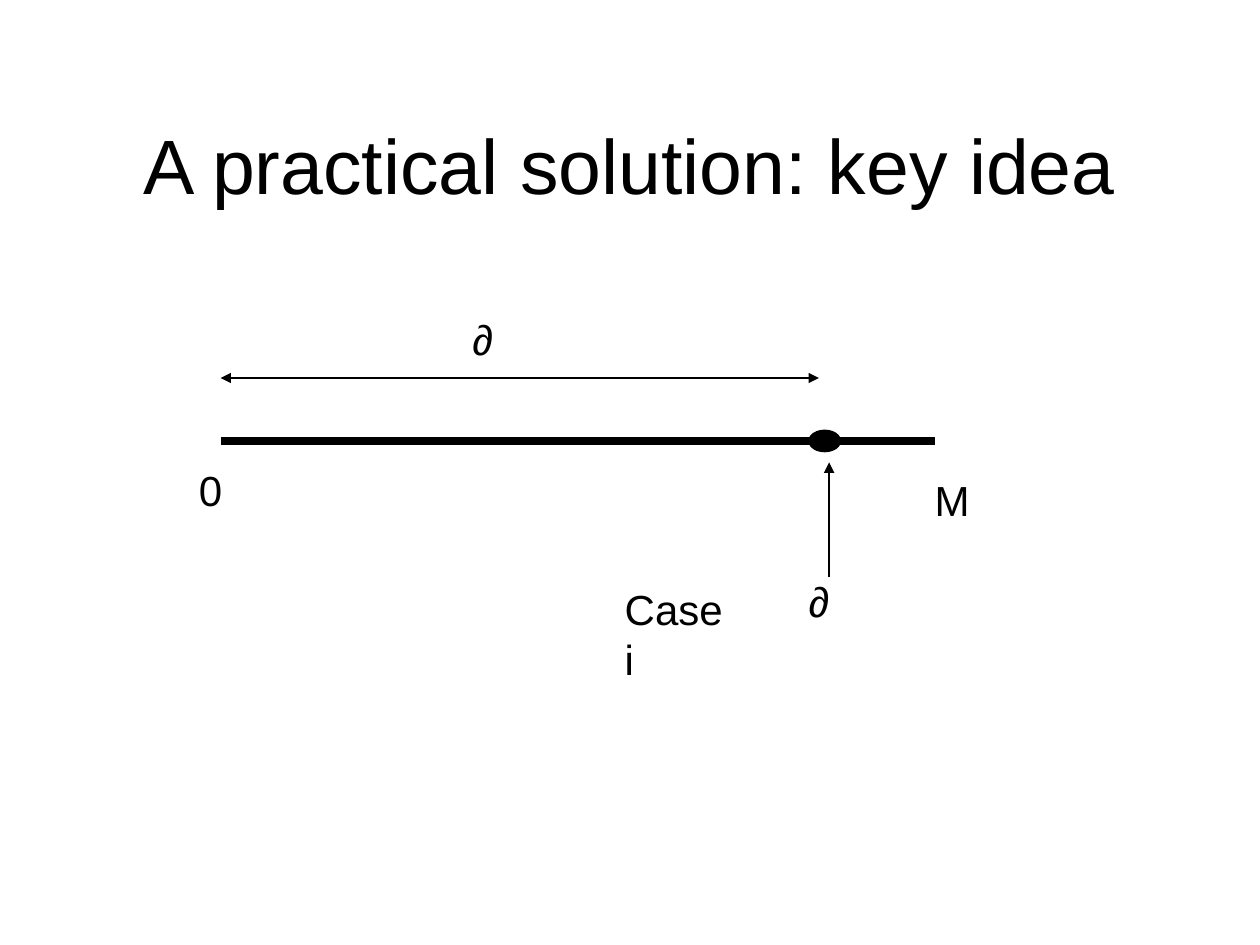
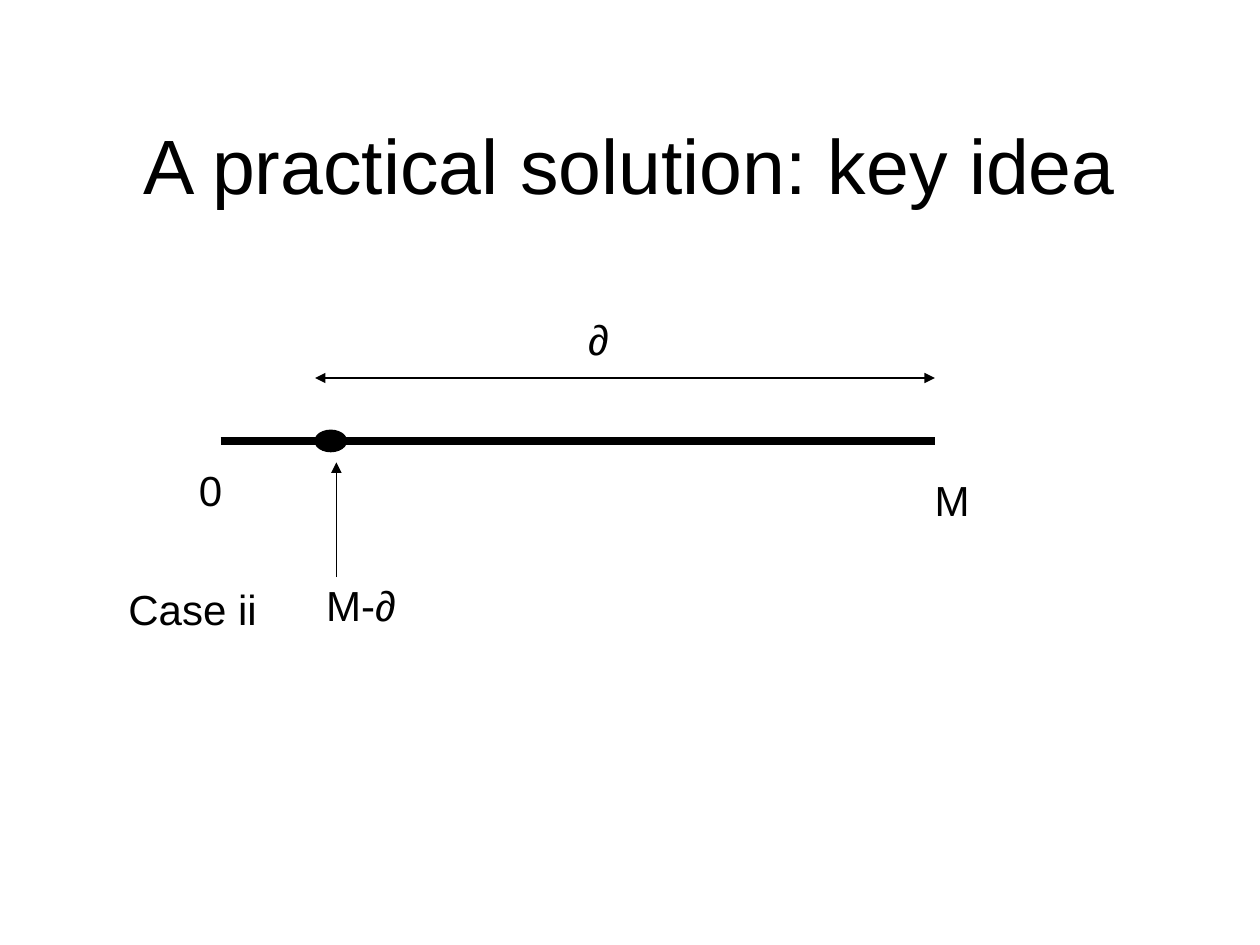
from dataclasses import dataclass

from lxml import etree
from pptx import Presentation
from pptx import util as u
from pptx.dml.color import RGBColor
from pptx.enum import shapes, text
from pptx.oxml import ns
from pptx.slide import Slide

COLOURS = {"ink": "000000", "paper": "FFFFFF"}
FONT = "Arial"
TITLE = "A practical solution: key idea"
AXIS_START, AXIS_END, AXIS_Y = 1.75, 7.42, 3.5
SPAN_Y = 3.0
POINTER_TOP, POINTER_BOTTOM = 3.67, 4.58
DOT_WIDTH, DOT_HEIGHT = 0.25, 0.17
LABEL_HEIGHT = 0.5


@dataclass(frozen=True)
class Label:
    words: str
    left: float
    top: float
    width: float


@dataclass(frozen=True)
class Line:
    start: tuple[float, float]
    end: tuple[float, float]
    weight: float = 0.75
    arrows: tuple[str, ...] = ()


@dataclass(frozen=True)
class Case:
    dot_left: float
    pointer_x: float
    span_start: float
    span_end: float
    labels: tuple[Label, ...]


AXIS_LABELS = (Label("0", 1.48, 3.64, 0.38), Label("M", 7.32, 3.72, 0.48))

CASES = (
    Case(6.42, 6.58, AXIS_START, 6.5, (
        Label("Case i", 4.86, 4.58, 1.14),
        Label("∂", 6.32, 4.52, 0.36),
        Label("∂", 3.65, 2.44, 0.36),
    )),
    Case(2.5, 2.67, 2.5, AXIS_END, (
        Label("Case ii", 0.92, 4.58, 1.22),
        Label("M-∂", 2.49, 4.55, 0.75),
        Label("∂", 4.57, 2.44, 0.36),
    )),
)


def colour(name: str) -> RGBColor:
    return RGBColor.from_string(COLOURS[name])


def add_text(page: Slide, label: Label, height: float = LABEL_HEIGHT,
             size: int = 24, is_title: bool = False) -> None:
    box = page.shapes.add_textbox(
        u.Inches(label.left), u.Inches(label.top),
        u.Inches(label.width), u.Inches(height))
    frame = box.text_frame
    frame.word_wrap = is_title
    para = frame.paragraphs[0]
    para.text = label.words
    para.font.name = FONT
    para.font.size = u.Pt(size)
    para.font.color.rgb = colour("ink")
    if is_title:
        frame.vertical_anchor = text.MSO_ANCHOR.MIDDLE
        para.alignment = text.PP_ALIGN.CENTER
    else:
        frame.auto_size = text.MSO_AUTO_SIZE.SHAPE_TO_FIT_TEXT


def add_line(page: Slide, line: Line) -> None:
    connector = page.shapes.add_connector(
        shapes.MSO_CONNECTOR.STRAIGHT,
        *(u.Inches(value) for value in line.start + line.end))
    connector.line.color.rgb = colour("ink")
    connector.line.width = u.Pt(line.weight)
    outline = connector.line._get_or_add_ln()
    for arrow in line.arrows:
        etree.SubElement(outline, ns.qn(f"a:{arrow}"), type="triangle")
    etree.SubElement(connector._element.spPr, ns.qn("a:effectLst"))


def add_dot(page: Slide, left: float) -> None:
    dot = page.shapes.add_shape(
        shapes.MSO_SHAPE.OVAL, u.Inches(left),
        u.Inches(AXIS_Y - DOT_HEIGHT / 2),
        u.Inches(DOT_WIDTH), u.Inches(DOT_HEIGHT))
    dot.shadow.inherit = False
    dot.fill.solid()
    dot.fill.fore_color.rgb = colour("ink")
    dot.line.color.rgb = colour("ink")
    dot.line.width = u.Pt(0.75)


def add_case(page: Slide, case: Case) -> None:
    page.background.fill.solid()
    page.background.fill.fore_color.rgb = colour("paper")
    add_text(page, Label(TITLE, 0.75, 0.67, 8.5), 1.25, 44, is_title=True)
    add_line(page, Line((AXIS_START, AXIS_Y), (AXIS_END, AXIS_Y), 4.5))
    add_dot(page, case.dot_left)
    add_line(page, Line((case.pointer_x, POINTER_BOTTOM),
                        (case.pointer_x, POINTER_TOP), arrows=("tailEnd",)))
    add_line(page, Line((case.span_start, SPAN_Y), (case.span_end, SPAN_Y),
                        arrows=("headEnd", "tailEnd")))
    for label in AXIS_LABELS + case.labels:
        add_text(page, label)


def main() -> None:
    deck = Presentation()
    deck.slide_width, deck.slide_height = u.Inches(10), u.Inches(7.5)
    for case in CASES:
        add_case(deck.slides.add_slide(deck.slide_layouts[6]), case)
    deck.save("out.pptx")


if __name__ == "__main__":
    main()
